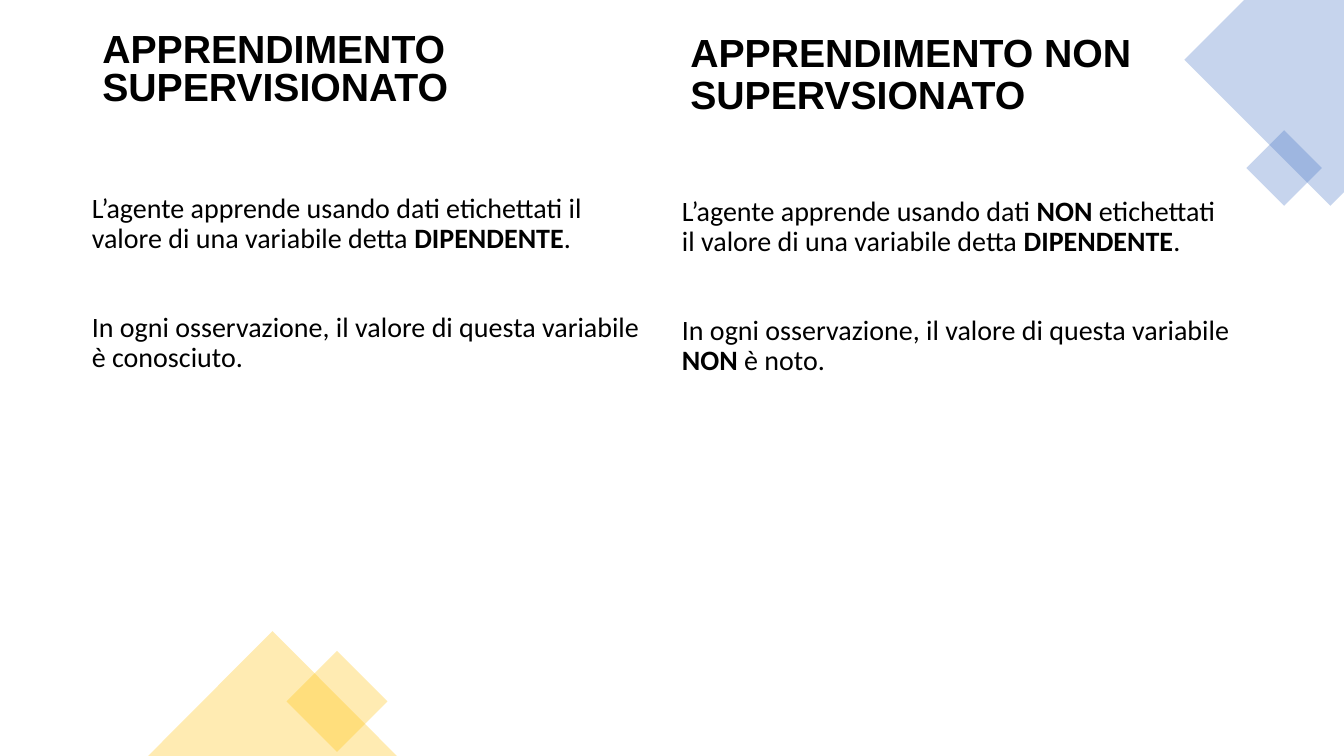
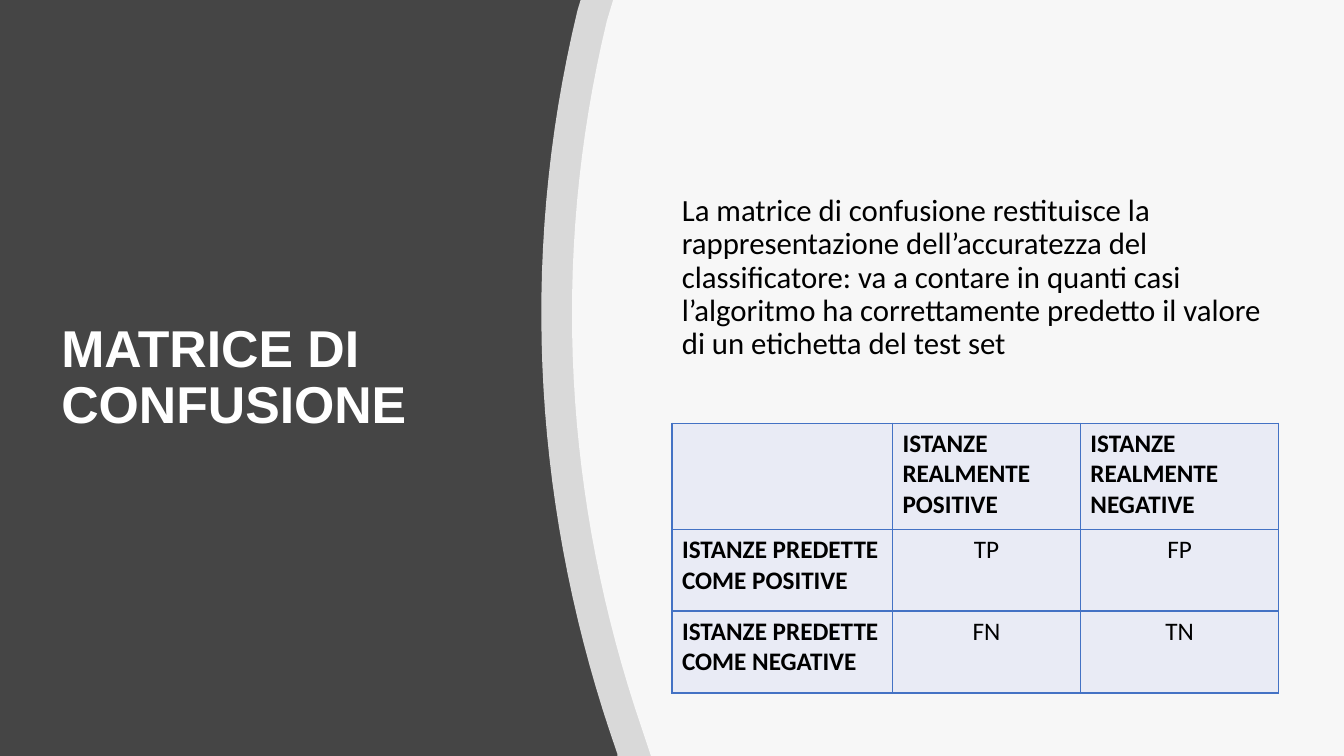
from lxml import etree
from pptx import Presentation
from pptx import util as u
from pptx.dml.color import RGBColor
from pptx.enum import shapes, text
from pptx.oxml import ns

PX = 9525
BLACK, WHITE, DARK = "000000", "FFFFFF", "454545"
BLUE, YELLOW, PALE = "4472C4", "FFC000", "E9EBF5"
HEADING, BODY = "Arial", "Calibri"


def px(value):
    return u.Emu(round(value * PX))


def rgb(value):
    return RGBColor.from_string(value)


def curve(start, first, second, end, steps=32):
    points = []
    for step in range(steps + 1):
        t = step / steps
        weights = ((1 - t) ** 3, 3 * t * (1 - t) ** 2, 3 * t * t * (1 - t), t ** 3)
        points.append(tuple(
            sum(weight * point[axis] for weight, point in zip(weights, (start, first, second, end)))
            for axis in (0, 1)))
    return points


class Deck:
    """Hold the shared style and the current slide."""

    def __init__(self, width, height):
        self.presentation = Presentation()
        self.presentation.slide_width = px(width)
        self.presentation.slide_height = px(height)
        self.slide = None

    def new_slide(self, background):
        self.slide = self.presentation.slides.add_slide(self.presentation.slide_layouts[6])
        fill = self.slide.background.fill
        fill.solid()
        fill.fore_color.rgb = rgb(background)

    def paint(self, shape, color, opacity):
        shape.shadow.inherit = False
        shape.line.fill.background()
        shape.fill.solid()
        shape.fill.fore_color.rgb = rgb(color)
        color_element = shape.fill._xPr.find(".//" + ns.qn("a:srgbClr"))
        etree.SubElement(color_element, ns.qn("a:alpha"), val=str(opacity * 1000))

    def preset(self, kind, box, color, opacity):
        shape = self.slide.shapes.add_shape(kind, *map(px, box))
        self.paint(shape, color, opacity)

    def outline(self, points, color, opacity):
        points = [(px(x), px(y)) for x, y in points]
        builder = self.slide.shapes.build_freeform(*points[0], scale=1.0)
        builder.add_line_segments(points[1:], close=True)
        self.paint(builder.convert_to_shape(), color, opacity)

    def style(self, run, size, font, color, bold):
        run.font.size = u.Pt(size)
        run.font.name = font
        run.font.color.rgb = rgb(color)
        run.font.bold = bold

    def text_box(self, box, paragraphs, size, font=BODY, color=BLACK, bold=False,
                 spacing=0.9, gap=0, middle=False):
        frame = self.slide.shapes.add_textbox(*map(px, box)).text_frame
        frame.word_wrap = True
        frame.vertical_anchor = text.MSO_ANCHOR.MIDDLE if middle else text.MSO_ANCHOR.TOP
        for index, content in enumerate(paragraphs):
            paragraph = frame.add_paragraph() if index else frame.paragraphs[0]
            paragraph.line_spacing = spacing
            paragraph.space_before = u.Pt(gap if index else 0)
            for position, part in enumerate(content.split("**")):
                run = paragraph.add_run()
                run.text = part
                self.style(run, size, font, color, bold or position % 2 == 1)

    def title(self, box, content, size=28, **options):
        self.text_box(box, [content], size, HEADING, bold=True, **options)

    def border(self, cell, color):
        properties = cell._tc.get_or_add_tcPr()
        for index, side in enumerate(("lnL", "lnR", "lnT", "lnB")):
            line = etree.Element(ns.qn("a:" + side), w=str(u.Pt(1)))
            fill = etree.SubElement(line, ns.qn("a:solidFill"))
            etree.SubElement(fill, ns.qn("a:srgbClr"), val=color)
            properties.insert(index, line)

    def table(self, left, top, widths, heights, rows, size):
        frame = self.slide.shapes.add_table(
            len(heights), len(widths), px(left), px(top), px(sum(widths)), px(sum(heights)))
        table = frame.table
        for column, width in zip(table.columns, widths):
            column.width = px(width)
        for row, height in zip(table.rows, heights):
            row.height = px(height)
        for row_index, row in enumerate(rows):
            for column_index, content in enumerate(row):
                cell = table.cell(row_index, column_index)
                cell.fill.solid()
                cell.fill.fore_color.rgb = rgb(PALE)
                self.border(cell, BLUE)
                cell.text_frame.text = content
                header = row_index == 0 or column_index == 0
                paragraph = cell.text_frame.paragraphs[0]
                paragraph.alignment = text.PP_ALIGN.LEFT if header else text.PP_ALIGN.CENTER
                for run in paragraph.runs:
                    self.style(run, size, BODY, BLACK, header)


def learning_slide(deck):
    deck.new_slide(WHITE)
    shape_kind = shapes.MSO_SHAPE
    deck.outline([(1280, 0), (1185, 0), (1128, 57), (1267, 196), (1280, 183)], BLUE, 30)
    deck.preset(shape_kind.DIAMOND, (1187, 124, 72, 72), BLUE, 30)
    deck.preset(shape_kind.DIAMOND, (273, 620, 96, 96), YELLOW, 30)
    deck.preset(shape_kind.ISOSCELES_TRIANGLE, (141, 601, 237, 119), YELLOW, 30)
    deck.title((88, 27, 541, 86), "APPRENDIMENTO SUPERVISIONATO", spacing=0.8)
    deck.text_box((78, 180, 541, 470), [
        "L’agente apprende usando dati etichettati il valore di una variabile detta **DIPENDENTE**.",
        "In ogni osservazione, il valore di questa variabile è conosciuto.",
    ], 20, gap=42)
    deck.title((648, 27, 564, 86), "APPRENDIMENTO NON SUPERVSIONATO")
    deck.text_box((640, 183, 544, 467), [
        "L’agente apprende usando dati **NON** etichettati il valore di una variabile detta **DIPENDENTE**.",
        "In ogni osservazione, il valore di questa variabile **NON** è noto.",
    ], 20, gap=42)


def confusion_slide(deck):
    deck.new_slide(DARK)
    right_edge = [(1280, 0), (1280, 720)]
    outer = curve((588, 718), (509, 493), (492, 250), (550, 10))
    inner = curve((611, 693), (538, 479), (523, 248), (578, 20))
    deck.outline(right_edge + [(588, 720)] + outer + [(553, 0)], WHITE, 80)
    deck.outline(right_edge + [(620, 720)] + inner + [(584, 0)], WHITE, 80)
    deck.title((49, 131, 380, 460), "MATRICE DI CONFUSIONE", 37, color=WHITE, middle=True)
    deck.text_box((640, 76, 578, 378), [
        "La matrice di confusione restituisce la rappresentazione dell’accuratezza del "
        "classificatore: va a contare in quanti casi l’algoritmo ha correttamente predetto "
        "il valore di un etichetta del test set",
    ], 22, middle=True)
    deck.table(640, 403, (210, 179, 189), (101, 78, 78), [
        ("", "ISTANZE REALMENTE POSITIVE", "ISTANZE REALMENTE NEGATIVE"),
        ("ISTANZE PREDETTE COME POSITIVE", "TP", "FP"),
        ("ISTANZE PREDETTE COME NEGATIVE", "FN", "TN"),
    ], 18)


def main():
    deck = Deck(1280, 720)
    learning_slide(deck)
    confusion_slide(deck)
    deck.presentation.save("out.pptx")


if __name__ == "__main__":
    main()
